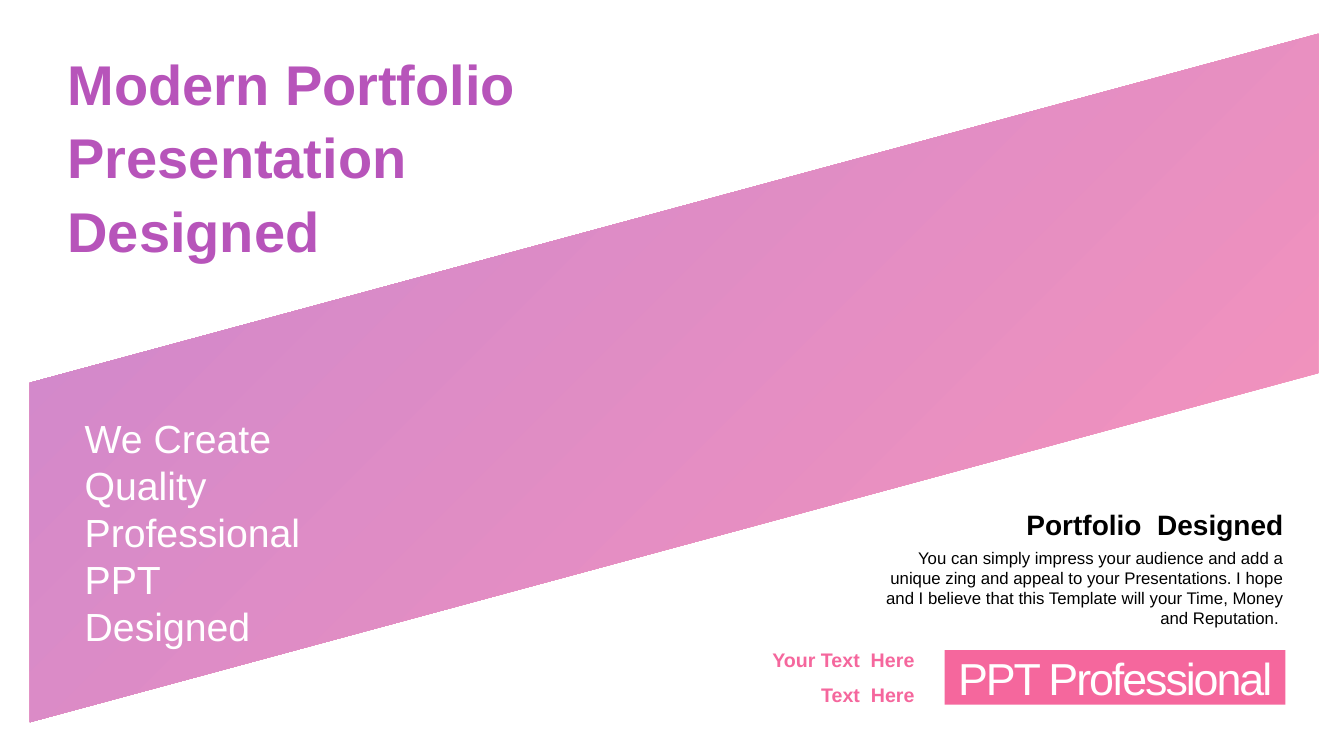
import dataclasses

import lxml.etree
import pptx
import pptx.dml.color
import pptx.enum.shapes
import pptx.enum.text
import pptx.oxml
import pptx.oxml.ns
import pptx.shapes.autoshape
import pptx.slide
import pptx.util

Inches = pptx.util.Inches
Align = pptx.enum.text.PP_ALIGN
Anchor = pptx.enum.text.MSO_ANCHOR
Kind = pptx.enum.shapes.MSO_SHAPE

HUES = {"purple": "B754BA", "pink": "F5679D", "white": "FFFFFF", "black": "000000"}
FONT = "Arial"


@dataclasses.dataclass
class Label:
    text: str
    box: tuple[float, float, float, float]
    size: float
    hue: str
    bold: bool = False
    align: Align = Align.RIGHT
    anchor: Anchor = Anchor.TOP
    lead: float = 1.0
    tight: bool = False
    track: float = 0


TITLE = Label("Modern Portfolio Presentation Designed", (0.57, 0.34, 5.26, 2.36),
              40, "purple", True, Align.LEFT, Anchor.MIDDLE, 1.1)
BADGE = Label("PPT Professional", (9.37, 6.45, 3.38, 0.54), 32, "white",
              align=Align.CENTER, anchor=Anchor.MIDDLE, tight=True, track=-1.5)
LABELS = [
    Label("Portfolio  Designed", (8.49, 4.99, 4.34, 0.39), 20, "black", True,
          anchor=Anchor.MIDDLE, lead=1.1),
    Label("You can simply impress your audience and add a unique zing and appeal "
          "to your Presentations. I hope and I believe that this Template will "
          "your Time, Money and Reputation. ", (8.49, 5.38, 4.34, 0.91), 12, "black"),
    Label("Your Text  Here", (7.18, 6.38, 1.99, 0.34), 14, "pink", True),
    Label("Text  Here", (7.18, 6.73, 1.99, 0.34), 14, "pink", True),
    Label("We Create Quality\nProfessional PPT\nDesigned", (0.8, 4.1, 2.49, 2.36),
          28, "white", align=Align.LEFT, anchor=Anchor.MIDDLE, tight=True),
]


def color(hue: str) -> pptx.dml.color.RGBColor:
    return pptx.dml.color.RGBColor.from_string(HUES[hue])


def write(shape: pptx.shapes.autoshape.Shape, label: Label) -> None:
    """Fill a shape with the label's text and format it."""
    frame = shape.text_frame
    frame.text = label.text
    frame.word_wrap = True
    frame.auto_size = pptx.enum.text.MSO_AUTO_SIZE.NONE
    frame.vertical_anchor = label.anchor
    if label.tight:
        frame.margin_left = frame.margin_right = Inches(0.04)
        frame.margin_top = frame.margin_bottom = 0
    for para in frame.paragraphs:
        para.alignment = label.align
        para.line_spacing = label.lead
        para.space_before = pptx.util.Pt(0)
        for run in para.runs:
            run.font.name = FONT
            run.font.size = pptx.util.Pt(label.size)
            run.font.bold = label.bold
            run.font.color.rgb = color(label.hue)
            if label.track:
                run.font._element.set("spc", str(round(label.track * 100)))


def add_band(slide: pptx.slide.Slide) -> None:
    """Draw the slanted band with its see-through gradient."""
    band = slide.shapes.add_shape(
        Kind.PARALLELOGRAM, *map(Inches, (3.27, -2.64, 6.83, 12.78)))
    band.adjustments[0] = 0.507
    band.rotation = 270
    band.shadow.inherit = False
    band.line.fill.background()
    props = band._element.spPr
    props.xfrm.set("flipH", "1")
    stops = "".join(
        f'<a:gs pos="{pos}"><a:srgbClr val="{HUES[hue]}">'
        '<a:alpha val="70000"/></a:srgbClr></a:gs>'
        for pos, hue in ((0, "pink"), (100000, "purple")))
    fill = pptx.oxml.parse_xml(
        f'<a:gradFill {pptx.oxml.ns.nsdecls("a")} rotWithShape="1">'
        f'<a:gsLst>{stops}</a:gsLst><a:lin ang="{225 * 60000}" scaled="0"/></a:gradFill>')
    props.find(pptx.oxml.ns.qn("a:prstGeom")).addnext(fill)


def add_badge(slide: pptx.slide.Slide, label: Label) -> None:
    badge = slide.shapes.add_shape(Kind.RECTANGLE, *map(Inches, label.box))
    badge.shadow.inherit = False
    badge.fill.solid()
    badge.fill.fore_color.rgb = color("pink")
    badge.line.fill.background()
    write(badge, label)


def set_title(slide: pptx.slide.Slide, label: Label) -> None:
    title = slide.shapes.title
    title.left, title.top, title.width, title.height = map(Inches, label.box)
    write(title, label)
    # Bring the title in front of the band
    slide.shapes._spTree.append(title._element)


def main() -> None:
    deck = pptx.Presentation()
    deck.slide_width, deck.slide_height = Inches(13.33), Inches(7.5)
    slide = deck.slides.add_slide(deck.slide_layouts[5])

    # Background band and badge
    add_band(slide)
    add_badge(slide, BADGE)

    # Text blocks
    for label in LABELS:
        write(slide.shapes.add_textbox(*map(Inches, label.box)), label)

    # Heading
    set_title(slide, TITLE)
    deck.save("out.pptx")


if __name__ == "__main__":
    main()
